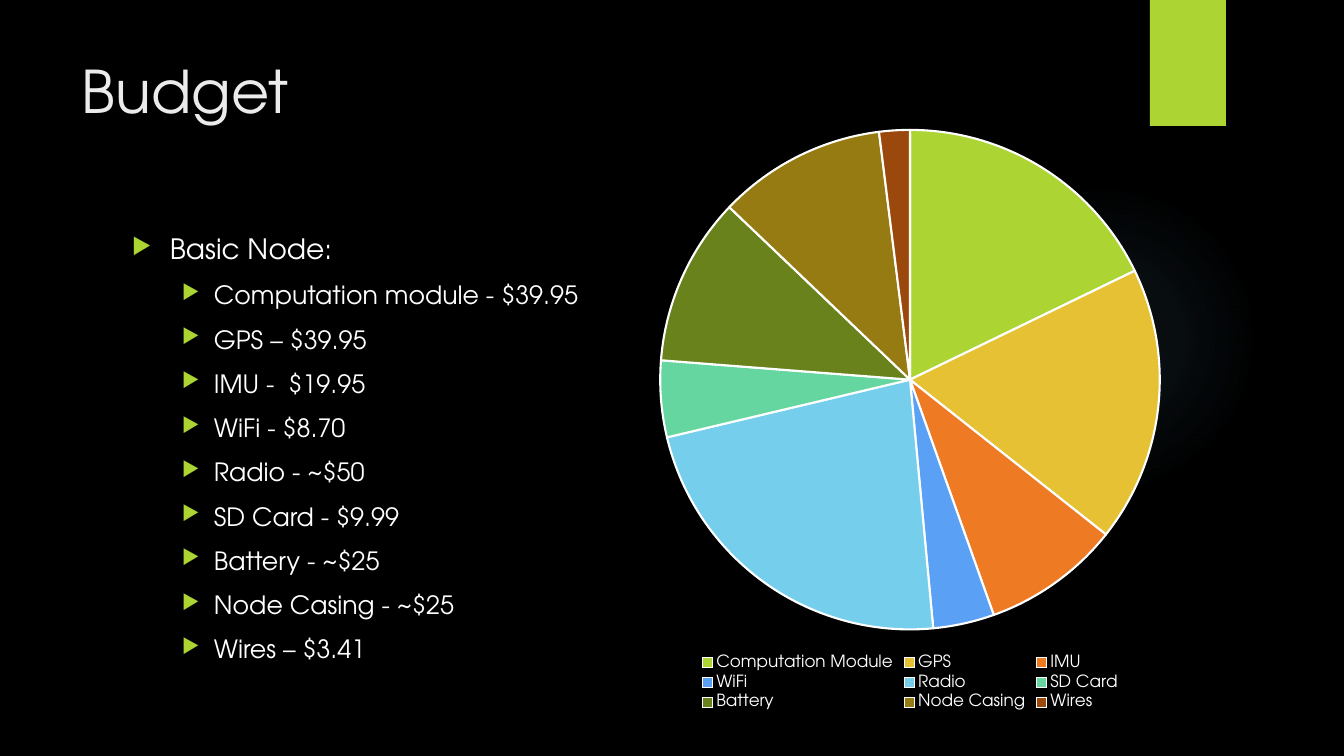
from lxml import etree
from pptx import Presentation
from pptx import util as u
from pptx.chart import data
from pptx.dml.color import RGBColor
from pptx.enum import chart as charts, shapes, text
from pptx.oxml import ns, parse_xml

EMU_PER_PX = 914400 / 100.8
BLACK = RGBColor(0x00, 0x00, 0x00)
WHITE = RGBColor(0xFF, 0xFF, 0xFF)
PALE = RGBColor(0xEB, 0xEB, 0xEB)
LIME = RGBColor(0xAC, 0xD4, 0x33)
GLOW = RGBColor(0x7A, 0xC4, 0xF0)
SLICES = [
    LIME,
    RGBColor(0xE6, 0xC1, 0x33),
    RGBColor(0xEF, 0x7A, 0x24),
    RGBColor(0x5A, 0xA0, 0xF5),
    RGBColor(0x75, 0xCE, 0xEC),
    RGBColor(0x65, 0xD6, 0xA0),
    RGBColor(0x69, 0x82, 0x1B),
    RGBColor(0x96, 0x7B, 0x12),
    RGBColor(0x9A, 0x48, 0x0B),
]

PRICES = [
    "Computation module - $39.95",
    "GPS – $39.95",
    "IMU -  $19.95",
    "WiFi - $8.70",
    "Radio - ~$50",
    "SD Card - $9.99",
    "Battery - ~$25",
    "Node Casing - ~$25",
    "Wires – $3.41",
]
SHARES = {
    "Computation Module": 18,
    "GPS": 18,
    "IMU": 9,
    "WiFi": 4,
    "Radio": 23,
    "SD Card": 5,
    "Battery": 11,
    "Node Casing": 11,
    "Wires": 2,
}


def px(length):
    return u.Emu(round(length * EMU_PER_PX))


def assign(target, values):
    for name, value in values.items():
        setattr(target, name, value)


class BudgetSlide:
    """Draws styled elements on one slide, measured in px."""

    font_name = "TeX Gyre Adventor"

    def __init__(self, deck):
        self.slide = deck.slides.add_slide(deck.slide_layouts[6])
        fill = self.slide.background.fill
        fill.solid()
        fill.fore_color.rgb = BLACK

    def style(self, font, size, color):
        assign(font, {"name": self.font_name, "size": u.Pt(size), "bold": False})
        font.color.rgb = color

    def shape(self, kind, box, color):
        added = self.slide.shapes.add_shape(kind, *map(px, box))
        added.shadow.inherit = False
        added.fill.solid()
        added.fill.fore_color.rgb = color
        added.line.fill.background()
        return added

    def glow(self, box, color, stops):
        halo = self.shape(shapes.MSO_SHAPE.OVAL, box, color)
        stop_xml = "".join(
            f'<a:gs pos="{pos * 1000}"><a:srgbClr val="{color}">'
            f'<a:alpha val="{alpha * 1000}"/></a:srgbClr></a:gs>'
            for pos, alpha in stops
        )
        gradient = parse_xml(
            f'<a:gradFill {ns.nsdecls("a")} rotWithShape="1"><a:gsLst>{stop_xml}</a:gsLst>'
            '<a:path path="circle"><a:fillToRect l="50000" t="50000" r="50000" b="50000"/>'
            "</a:path></a:gradFill>"
        )
        properties = halo.element.spPr
        properties.replace(properties.find(ns.qn("a:solidFill")), gradient)

    def text_frame(self, box):
        frame = self.slide.shapes.add_textbox(*map(px, box)).text_frame
        assign(frame, {
            "word_wrap": True,
            "auto_size": text.MSO_AUTO_SIZE.NONE,
            "vertical_anchor": text.MSO_ANCHOR.TOP,
        })
        return frame

    def line(self, paragraph, words, size, color):
        run = paragraph.add_run()
        run.text = words
        self.style(run.font, size, color)

    def title(self, box, words):
        self.line(self.text_frame(box).paragraphs[0], words, 42, PALE)

    def bullet(self, paragraph, words, level, size, margin, hanging):
        assign(paragraph, {"level": level, "space_before": u.Pt(10)})
        properties = paragraph._p.get_or_add_pPr()
        properties.set("marL", str(px(margin)))
        properties.set("indent", str(-px(hanging)))
        color = etree.SubElement(properties, ns.qn("a:buClr"))
        etree.SubElement(color, ns.qn("a:srgbClr"), val=str(LIME))
        etree.SubElement(properties, ns.qn("a:buSzPct"), val="80000")
        etree.SubElement(properties, ns.qn("a:buChar"), char="▶")
        self.line(paragraph, words, size, WHITE)

    def price_list(self, box, heading, prices):
        frame = self.text_frame(box)
        self.bullet(frame.paragraphs[0], heading, 0, 20, 38, 38)
        for price in prices:
            self.bullet(frame.add_paragraph(), price, 1, 18, 82, 32)

    def pie(self, box, shares, colors):
        shares_data = data.CategoryChartData()
        shares_data.categories = list(shares)
        shares_data.add_series("Series 1", list(shares.values()))
        pie = self.slide.shapes.add_chart(
            charts.XL_CHART_TYPE.PIE, *map(px, box), shares_data
        ).chart
        assign(pie, {"has_title": False, "has_legend": True})
        self.style(pie.font, 10, WHITE)
        assign(pie.legend, {
            "position": charts.XL_LEGEND_POSITION.BOTTOM,
            "include_in_layout": False,
        })
        self.style(pie.legend.font, 12, WHITE)
        plot = pie.plots[0]
        plot.vary_by_categories = True
        for index, color in enumerate(colors):
            piece = plot.series[0].points[index].format
            piece.fill.solid()
            piece.fill.fore_color.rgb = color
            piece.line.color.rgb = WHITE
            piece.line.width = u.Pt(1.5)


def main():
    deck = Presentation()
    assign(deck, {"slide_width": px(1344), "slide_height": px(756)})
    budget = BudgetSlide(deck)
    budget.glow((949, 184, 310, 310), GLOW, [(0, 7), (36, 6), (69, 0)])
    budget.shape(shapes.MSO_SHAPE.RECTANGLE, (1150, 0, 76, 126), LIME)
    budget.title((72, 50, 1037, 154), "Budget")
    budget.price_list((122, 227, 499, 463), "Basic Node:", PRICES)
    budget.pie((462, 116, 896, 598), SHARES, SLICES)
    deck.save("out.pptx")


if __name__ == "__main__":
    main()
